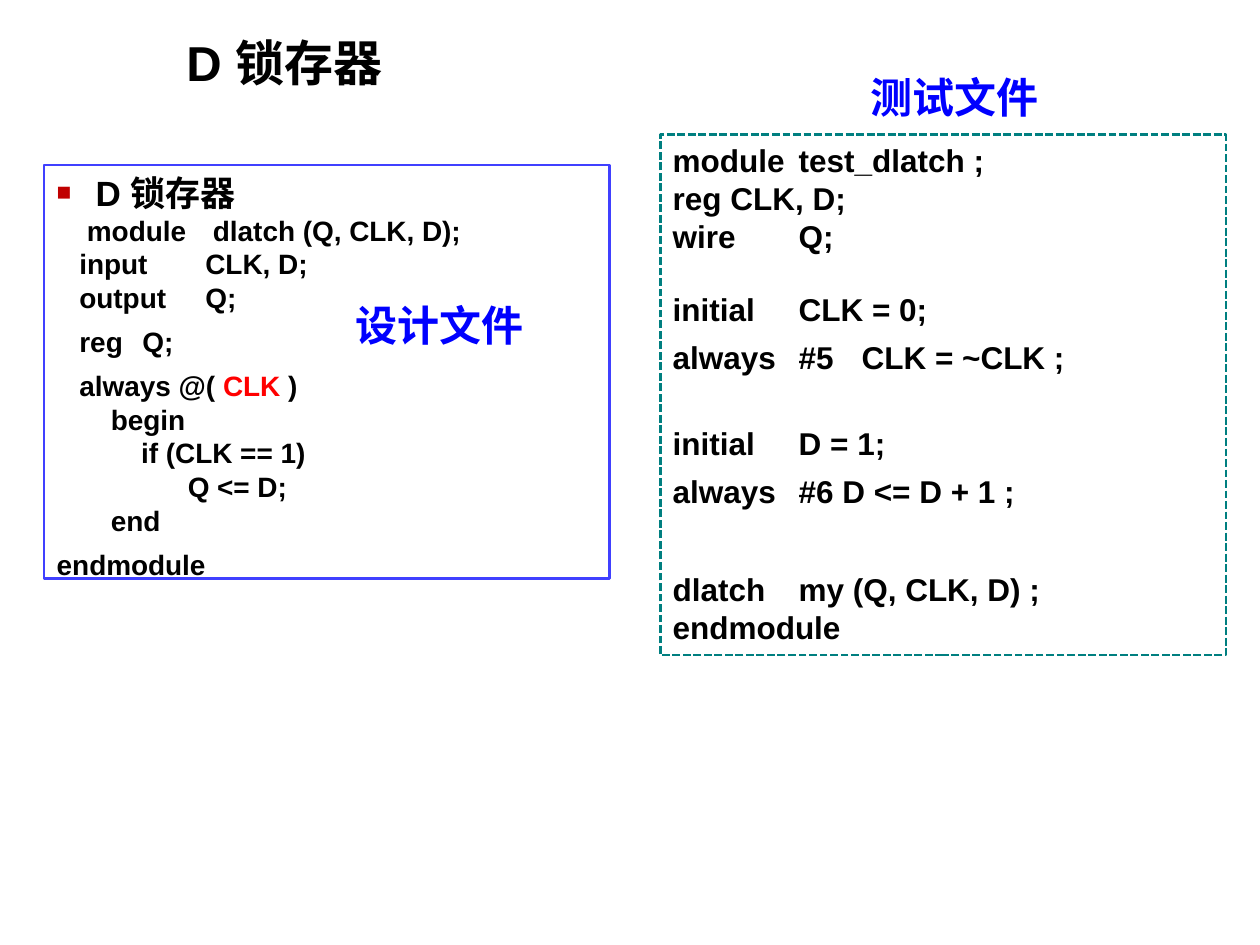
from dataclasses import dataclass

from lxml import etree
from pptx import Presentation
from pptx.dml.color import RGBColor
from pptx.enum.dml import MSO_LINE
from pptx.enum.shapes import MSO_SHAPE
from pptx.enum.text import MSO_ANCHOR, MSO_AUTO_SIZE, PP_ALIGN
from pptx.oxml.ns import qn
from pptx.util import Inches, Pt

RECTANGLE = MSO_SHAPE.RECTANGLE
DASHED = MSO_LINE.SQUARE_DOT
TOP = MSO_ANCHOR.TOP
LEFT = PP_ALIGN.LEFT
GROW = MSO_AUTO_SIZE.SHAPE_TO_FIT_TEXT

LATIN, CHINESE = "Arial", "Noto Sans CJK SC"
BLACK, WHITE, BLUE, RED = "000000", "FFFFFF", "0000FF", "FF0000"
PANEL_WIDTH = 4.49


@dataclass(frozen=True)
class Line:
    """One line: (text, colour) segments, indent and tab stops in inches, spacing in points."""
    segments: tuple[tuple[str, str], ...]
    indent: float = 0
    tabs: tuple[float, ...] = ()
    before: float = 0
    height: float | None = None
    size: float | None = None
    bullet: bool = False


def line(text: str, **layout) -> Line:
    return Line(((text, BLACK),), **layout)


DESIGN_CODE = [
    line("D 锁存器", indent=0.31, size=20, bullet=True),
    line("module\tdlatch (Q, CLK, D);", indent=0.24, tabs=(1.14,)),
    line("input\tCLK, D;", indent=0.18, tabs=(0.97,)),
    line("output\tQ;", indent=0.18, tabs=(1.06,)),
    line("reg\tQ;", indent=0.18, tabs=(0.65,), before=6),
    Line((("always @( ", BLACK), ("CLK", RED), (" )", BLACK)), indent=0.18, before=6),
    line("begin", indent=0.43),
    line("if (CLK == 1)", indent=0.67),
    line("Q <= D;", indent=1.04),
    line("end", indent=0.43),
    line("endmodule", before=6),
]
TEST_CODE = [
    line("module\ttest_dlatch ;", tabs=(1.02,)),
    line("reg CLK, D;"),
    line("wire\tQ;", tabs=(0.71,)),
    line("initial\tCLK = 0;", tabs=(0.86,), before=27, height=15),
    line("always\t#5\tCLK = ~CLK ;", tabs=(1.03, 1.44), before=6),
    line("initial\tD = 1;", tabs=(0.86,), before=34, height=15),
    line("always\t#6 D <= D + 1 ;", tabs=(1.03,), before=6),
    line("dlatch\tmy (Q, CLK, D) ;", tabs=(0.94,), before=34),
    line("endmodule"),
]


def colour(value: str) -> RGBColor:
    return RGBColor.from_string(value)


def add_child(parent, tag: str, **attributes):
    return etree.SubElement(parent, qn(tag), attributes)


def place(shape, left: float, top: float, width: float, height: float) -> None:
    shape.left, shape.top = Inches(left), Inches(top)
    shape.width, shape.height = Inches(width), Inches(height)


def add_run(paragraph, text: str, *, size: float, color: str) -> None:
    run = paragraph.add_run()
    run.text = text
    run.font.name, run.font.size, run.font.bold = LATIN, Pt(size), True
    run.font.color.rgb = colour(color)
    add_child(run.font._element, "a:ea", typeface=CHINESE)


def format_indent(paragraph, item: Line) -> None:
    properties = paragraph._p.get_or_add_pPr()
    margin = Inches(item.indent)
    properties.set("marL", str(margin))
    properties.set("indent", str(-margin if item.bullet else 0))
    if item.bullet:
        add_child(add_child(properties, "a:buClr"), "a:srgbClr", val="C00000")
        add_child(properties, "a:buSzPct", val="70000")
        add_child(properties, "a:buFont", typeface=LATIN)
        add_child(properties, "a:buChar", char="■")
    else:
        add_child(properties, "a:buNone")
    if item.tabs:
        stops = add_child(properties, "a:tabLst")
        for position in item.tabs:
            add_child(stops, "a:tab", pos=str(Inches(position)), algn="l")


def write(shape, lines: list[Line], *, size: float) -> None:
    frame = shape.text_frame
    frame.word_wrap, frame.vertical_anchor, frame.auto_size = True, TOP, GROW
    for number, item in enumerate(lines):
        paragraph = frame.add_paragraph() if number else frame.paragraphs[0]
        paragraph.alignment = LEFT
        paragraph.space_before = Pt(item.before)
        if item.height:
            paragraph.line_spacing = Pt(item.height)
        format_indent(paragraph, item)
        for text, color in item.segments:
            add_run(paragraph, text, size=item.size or size, color=color)


def outline(shape, color: str) -> None:
    shape.line.color.rgb = colour(color)
    shape.line.width = Pt(1.5)


presentation = Presentation()
presentation.slide_width, presentation.slide_height = Inches(10), Inches(7.5)
slide = presentation.slides.add_slide(presentation.slide_layouts[1])

# Title
title = slide.shapes.title
place(title, 1.38, 0.21, 2.34, 0.57)
write(title, [line("D 锁存器")], size=28)

# Design file
design = slide.placeholders[1]
place(design, 0.35, 1.31, PANEL_WIDTH, 3.38)
design.fill.solid()
design.fill.fore_color.rgb = colour(WHITE)
outline(design, "4040FF")
write(design, DESIGN_CODE, size=16)

# Test file
test = slide.shapes.add_shape(RECTANGLE, 0, 0, 0, 0)
place(test, 5.24, 1.07, PANEL_WIDTH, 4.13)
test.shadow.inherit = False
test.fill.background()
outline(test, "007F80")
test.line.dash_style = DASHED
write(test, TEST_CODE, size=18)

# Panel labels
for label, left, top in (("测试文件", 6.81, 0.52), ("设计文件", 2.72, 2.33)):
    caption = slide.shapes.add_textbox(0, 0, 0, 0)
    place(caption, left, top, 1.81, 0.5)
    write(caption, [Line(((label, BLUE),))], size=24)

presentation.save("out.pptx")
